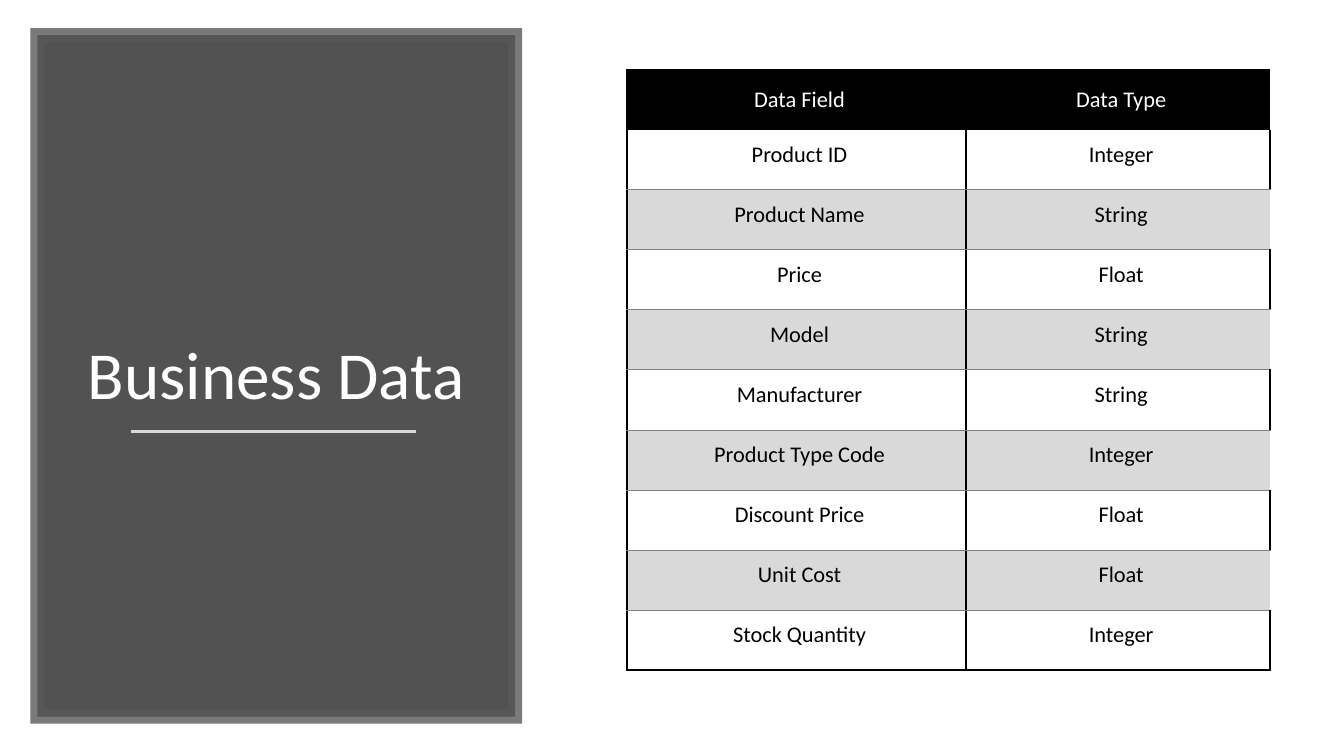
"""Build the Business Data slide: a title panel beside a table of fields and types."""
import lxml.etree
import pptx
import pptx.dml.color
import pptx.enum.shapes
import pptx.enum.text
import pptx.oxml.ns
import pptx.util

Inches = pptx.util.Inches
Pt = pptx.util.Pt
RGBColor = pptx.dml.color.RGBColor
qn = pptx.oxml.ns.qn

BLACK = RGBColor(0x00, 0x00, 0x00)
WHITE = RGBColor(0xFF, 0xFF, 0xFF)
PANEL = RGBColor(0x40, 0x40, 0x40)
FRAME = RGBColor(0x59, 0x59, 0x59)
BAND = RGBColor(0xD9, 0xD9, 0xD9)
RULE = RGBColor(0x80, 0x80, 0x80)
NO_GRID_STYLE = "{2D5ABB26-0587-4C30-8999-92F81FD0307C}"
OUTER = (BLACK, 1.5)
INNER = (RULE, 0.5)

FIELDS = [
    ("Data Field", "Data Type"),
    ("Product ID", "Integer"),
    ("Product Name", "String"),
    ("Price", "Float"),
    ("Model", "String"),
    ("Manufacturer", "String"),
    ("Product Type Code", "Integer"),
    ("Discount Price", "Float"),
    ("Unit Cost", "Float"),
    ("Stock Quantity", "Integer"),
]


def write(frame, text, *, size, color, spacing=1.0):
    paragraph = frame.paragraphs[0]
    paragraph.alignment = pptx.enum.text.PP_ALIGN.CENTER
    paragraph.line_spacing = spacing
    run = paragraph.add_run()
    run.text = text
    run.font.name = "Calibri"
    run.font.size = Pt(size)
    run.font.color.rgb = color


def add_solid(parent, color, opacity=100):
    solid = lxml.etree.SubElement(parent, qn("a:solidFill"))
    tone = lxml.etree.SubElement(solid, qn("a:srgbClr"), val=str(color))
    lxml.etree.SubElement(tone, qn("a:alpha"), val=str(opacity * 1000))


deck = pptx.Presentation()
deck.slide_width = Inches(13.33)
deck.slide_height = Inches(7.5)
slide = deck.slides.add_slide(deck.slide_layouts[6])

panel = slide.shapes.add_shape(
    pptx.enum.shapes.MSO_SHAPE.RECTANGLE,
    Inches(0.37), Inches(0.35), Inches(4.74), Inches(6.76))
panel.shadow.inherit = False
panel.fill.solid()
panel.fill.fore_color.rgb = PANEL
panel.line.color.rgb = FRAME
panel.line.width = Pt(10)
lxml.etree.SubElement(lxml.etree.ElementBase.find(
    panel.fill._xPr, qn("a:solidFill"))[0], qn("a:alpha"), val="90000")
outline = panel.line._get_or_add_ln()
outline.remove(outline.find(qn("a:solidFill")))
add_solid(outline, FRAME, 80)
lxml.etree.SubElement(outline, qn("a:miter"), lim="800000")

title = slide.shapes.add_textbox(Inches(0.74), Inches(1), Inches(4), Inches(3.16)).text_frame
title.word_wrap = True
title.vertical_anchor = pptx.enum.text.MSO_ANCHOR.BOTTOM
write(title, "Business Data", size=48, color=WHITE, spacing=0.9)

underline = slide.shapes.add_connector(
    pptx.enum.shapes.MSO_CONNECTOR.STRAIGHT,
    Inches(1.3), Inches(4.28), Inches(4.13), Inches(4.28))
underline.line.color.rgb = BAND
underline.line.width = Pt(1.75)
lxml.etree.SubElement(underline._element.spPr, qn("a:effectLst"))

fields = slide.shapes.add_table(
    len(FIELDS), 2, Inches(6.22), Inches(0.69), Inches(6.38), Inches(5.96)).table
fields._tbl.tblPr.find(qn("a:tableStyleId")).text = NO_GRID_STYLE
fields.horz_banding = False
fields.columns[0].width = Inches(3.36)
fields.columns[1].width = Inches(3.02)

last = len(FIELDS) - 1
for row, record in enumerate(FIELDS):
    fields.rows[row].height = Inches(5.96 / len(FIELDS))
    header = row == 0
    shaded = not header and row % 2 == 0
    for column, text in enumerate(record):
        cell = fields.cell(row, column)
        cell.margin_left = Inches(0.15)
        cell.margin_right = Inches(0.09)
        cell.margin_top = cell.margin_bottom = Inches(0.11)
        if header:
            cell.vertical_anchor = pptx.enum.text.MSO_ANCHOR.MIDDLE
            borders = {"T": OUTER} if column else {"L": OUTER, "T": OUTER}
        elif shaded:
            borders = {"L": OUTER, "T": INNER} if column else {"L": OUTER, "R": OUTER, "T": INNER}
        else:
            borders = {"L": OUTER, "R": OUTER, "B": OUTER if row == last else INNER}
        properties = cell._tc.get_or_add_tcPr()
        for side, (color, width) in borders.items():
            edge = lxml.etree.SubElement(properties, qn("a:ln" + side), w=str(Pt(width)))
            add_solid(edge, color)
        if header or shaded:
            cell.fill.solid()
            cell.fill.fore_color.rgb = BLACK if header else BAND
        else:
            cell.fill.background()
        write(cell.text_frame, text, size=16, color=WHITE if header else BLACK)

deck.save("out.pptx")
